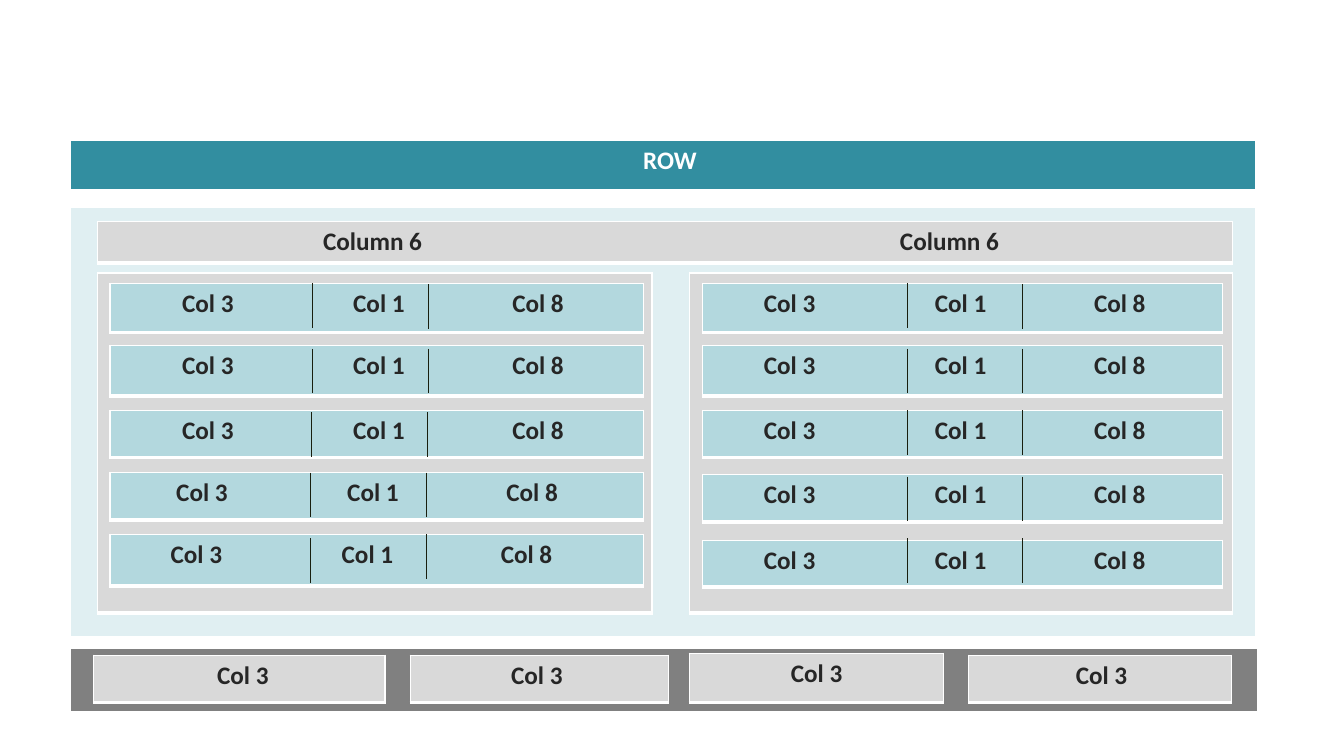
from lxml.etree import SubElement
from pptx import Presentation
from pptx.dml.color import RGBColor
from pptx.enum.shapes import MSO_CONNECTOR
from pptx.oxml.ns import qn
from pptx.util import Cm, Pt

WHITE, DARK, LINE = "FFFFFF", "262626", "191F0F"
TEAL, PALE, AQUA = "328EA0", "E0EFF2", "B3D8DE"
GREY, SILVER = "808080", "D9D9D9"

COLS = "Col 3\tCol 1\tCol 8"
STOPS = (4.31, 8.32)

# Each row: top, height, text inset, first rule x, first rule y, second rule y
LEFT = [
    (7.14, 1.24, 1.82, 7.87, 7.14, 7.16),
    (8.71, 1.27, 1.82, 7.87, 8.79, 8.79),
    (10.34, 1.19, 1.82, 7.85, 10.39, 10.39),
    (11.91, 1.19, 1.67, 7.82, 11.91, 11.91),
    (13.46, 1.3, 1.53, 7.82, 13.56, 13.46),
]
RIGHT = [
    (7.14, 1.24, 1.55, 22.86, 7.14, 7.16),
    (8.71, 1.27, 1.55, 22.86, 8.79, 8.79),
    (10.34, 1.19, 1.55, 22.86, 10.34, 10.34),
    (11.96, 1.19, 1.55, 22.86, 12.01, 12.01),
    (13.61, 1.19, 1.55, 22.86, 13.56, 13.56),
]
# Each footer cell: left, top, width, height, text inset
FOOT = [
    (2.36, 16.51, 7.34, 1.19, 3.11),
    (10.34, 16.51, 6.5, 1.19, 2.54),
    (17.37, 16.46, 6.4, 1.24, 2.56),
    (24.41, 16.51, 6.63, 1.19, 2.7),
]


def paint(color):
    """Turn a hex string into a colour."""
    return RGBColor.from_string(color)


def edge(cell):
    """Give a cell white borders, heavier at the bottom."""
    props = cell._tc.get_or_add_tcPr()
    for side, width in (("L", 1), ("R", 1), ("T", 1), ("B", 3)):
        line = SubElement(props, qn("a:ln" + side), w=str(Pt(width)))
        fill = SubElement(line, qn("a:solidFill"))
        SubElement(fill, qn("a:srgbClr"), val=WHITE)


def set_tabs(para, stops):
    """Set left tab stops on a paragraph."""
    tabs = SubElement(para._p.get_or_add_pPr(), qn("a:tabLst"))
    for stop in stops:
        SubElement(tabs, qn("a:tab"), pos=str(Cm(stop)), algn="l")


def add_box(slide, place, fill, text="", inset=0.25, stops=(), color=DARK):
    """Add a table of one cell, with its labels set on tab stops."""
    frame = slide.shapes.add_table(1, 1, *map(Cm, place))
    table = frame.table
    table.first_row = table.horz_banding = False
    cell = table.cell(0, 0)
    edge(cell)
    cell.fill.solid()
    cell.fill.fore_color.rgb = paint(fill)
    if not text:
        return
    cell.margin_left = Cm(inset)
    para = cell.text_frame.paragraphs[0]
    para.text = text
    if stops:
        set_tabs(para, stops)
    for run in para.runs:
        font = run.font
        font.name, font.size, font.bold = "Calibri", Pt(18), True
        font.color.rgb = paint(color)


def add_rule(slide, left, top):
    """Add a short upright line."""
    rule = slide.shapes.add_connector(
        MSO_CONNECTOR.STRAIGHT, Cm(left), Cm(top), Cm(left), Cm(top + 1.12))
    rule.line.color.rgb = paint(LINE)
    rule.line.width = Pt(0.75)
    SubElement(rule._element.spPr, qn("a:effectLst"))


def add_panel(slide, left, width, rows):
    """Add the rows of one half, each split by two rules."""
    for top, height, inset, rule, first, second in rows:
        add_box(slide, (left, top, width, height), AQUA, COLS, inset, STOPS)
        add_rule(slide, rule, first)
        add_rule(slide, rule + 2.92, second)


def main():
    """Build the grid slide."""
    deck = Presentation()
    deck.slide_width, deck.slide_height = Cm(33.87), Cm(19.05)
    slide = deck.slides.add_slide(deck.slide_layouts[6])

    add_box(slide, (1.78, 5.23, 29.87, 10.85), PALE)
    add_box(slide, (1.78, 3.53, 29.87, 1.27), TEAL, "ROW", 14.43, color=WHITE)
    add_box(slide, (1.78, 16.33, 29.92, 1.63), GREY)
    add_box(slide, (2.46, 6.88, 13.97, 8.56), SILVER)
    add_box(slide, (17.37, 6.88, 13.69, 8.56), SILVER)
    add_box(slide, (2.46, 5.59, 28.6, 1.04), SILVER,
            "Column 6\tColumn 6", 5.68, (14.54,))
    add_panel(slide, 2.77, 13.44, LEFT)
    add_panel(slide, 17.7, 13.11, RIGHT)
    for *place, inset in FOOT:
        add_box(slide, place, SILVER, "Col 3", inset)

    deck.save("out.pptx")


main()
